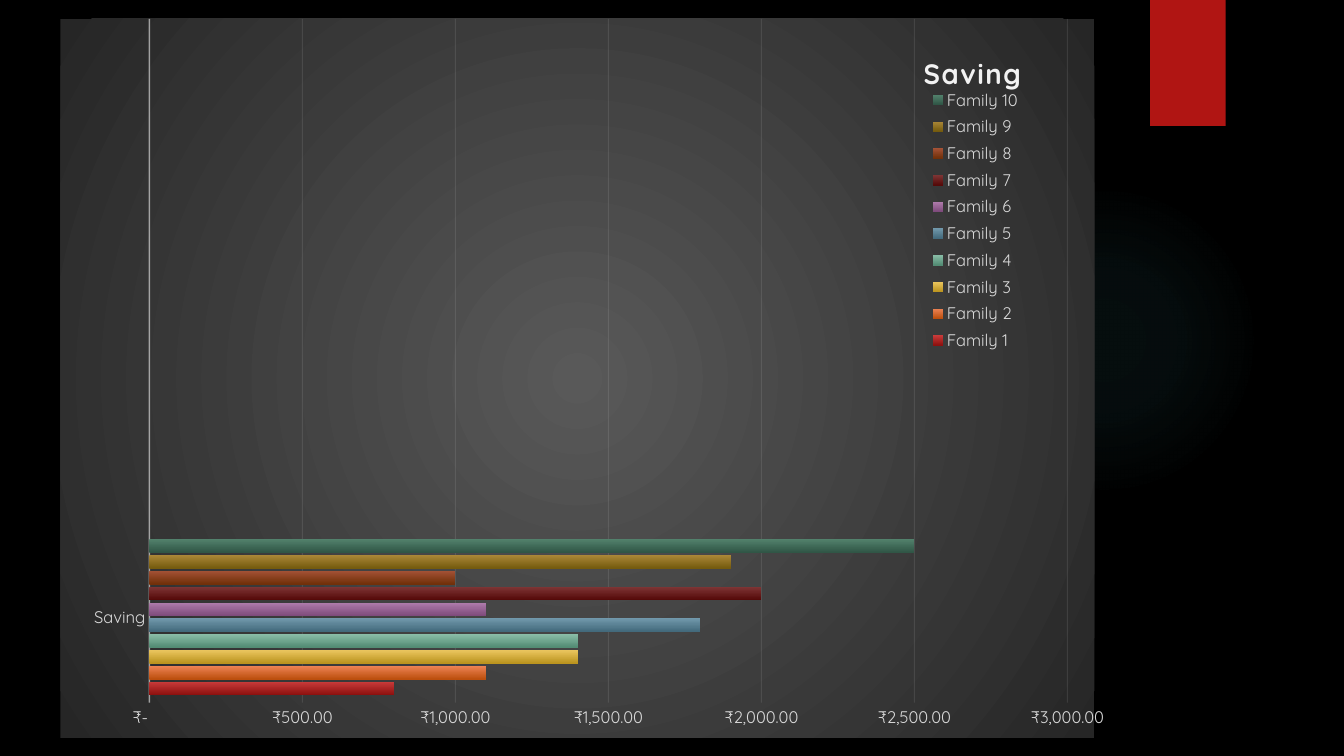
from lxml import etree
from pptx import Presentation
from pptx import util as u
from pptx.chart.data import CategoryChartData
from pptx.dml.color import RGBColor
from pptx.enum import chart as ch, shapes
from pptx.oxml import ns

BLACK = RGBColor(0x00, 0x00, 0x00)
WHITE = RGBColor(0xFF, 0xFF, 0xFF)
LABEL = RGBColor(0xD9, 0xD9, 0xD9)
RULE = RGBColor(0xF2, 0xF2, 0xF2)
RED = RGBColor(0xB0, 0x15, 0x13)
TEAL = RGBColor(0x50, 0xB9, 0xC1)
PANEL_CENTRE = RGBColor(0x59, 0x59, 0x59)
PANEL_EDGE = RGBColor(0x26, 0x26, 0x26)

# Saving per family, with the top and bottom colour of its bar
FAMILIES = [
    (800, RGBColor(0xC9, 0x3B, 0x3A), RGBColor(0x8D, 0x11, 0x0F)),
    (1100, RGBColor(0xEE, 0x84, 0x55), RGBColor(0xBC, 0x4F, 0x0E)),
    (1400, RGBColor(0xEB, 0xC6, 0x5F), RGBColor(0xBB, 0x94, 0x1F)),
    (1400, RGBColor(0x89, 0xBD, 0xA7), RGBColor(0x53, 0x8C, 0x74)),
    (1800, RGBColor(0x71, 0x98, 0xAB), RGBColor(0x43, 0x6A, 0x7C)),
    (1100, RGBColor(0xAF, 0x7C, 0xAC), RGBColor(0x7F, 0x4B, 0x7C)),
    (2000, RGBColor(0x7F, 0x36, 0x36), RGBColor(0x55, 0x0A, 0x09)),
    (1000, RGBColor(0xA4, 0x52, 0x36), RGBColor(0x71, 0x30, 0x09)),
    (1900, RGBColor(0xAA, 0x87, 0x37), RGBColor(0x75, 0x5B, 0x0E)),
    (2500, RGBColor(0x52, 0x81, 0x6C), RGBColor(0x30, 0x56, 0x46)),
]
RUPEES = r'_("₹"* #,##0.00_);_("₹"* \(#,##0.00\);_("₹"* "-"??_);_(@_)'


def add(parent, tag, **attributes):
    child = etree.SubElement(parent, ns.qn(tag))
    for key, value in attributes.items():
        child.set(key, str(value))
    return child


def radial_fill(parent, stops):
    """Stops are (position %, colour, opacity %), from the centre outwards."""
    gradient = add(parent, "a:gradFill", rotWithShape=1)
    stop_list = add(gradient, "a:gsLst")
    for position, colour, opacity in stops:
        stop = add(stop_list, "a:gs", pos=position * 1000)
        add(add(stop, "a:srgbClr", val=colour), "a:alpha", val=opacity * 1000)
    add(add(gradient, "a:path", path="circle"), "a:fillToRect",
        l=50000, t=50000, r=50000, b=50000)
    return gradient


def place(part, x, y, w=None, h=None, inner=False):
    """Give a chart part a manual layout, in fractions of the chart."""
    for old in part.findall(ns.qn("c:layout")):
        part.remove(old)
    layout = etree.Element(ns.qn("c:layout"))
    manual = add(layout, "c:manualLayout")
    if inner:
        add(manual, "c:layoutTarget", val="inner")
    add(manual, "c:xMode", val="edge")
    add(manual, "c:yMode", val="edge")
    for key, value in zip("xywh", (x, y, w, h)):
        if value is not None:
            add(manual, "c:" + key, val=value)
    overlay = part.find(ns.qn("c:overlay"))
    part.insert(0 if overlay is None else part.index(overlay), layout)


class SavingsSlide:
    font_name = "Quicksand"

    def __init__(self, deck):
        self.slide = deck.slides.add_slide(deck.slide_layouts[6])
        self.slide.background.fill.solid()
        self.slide.background.fill.fore_color.rgb = BLACK

    def style_font(self, font, size, colour, bold=False):
        font.name, font.size, font.bold = self.font_name, u.Pt(size), bold
        font.color.rgb = colour

    def style_line(self, line, width, opacity):
        line.width = u.Pt(width)
        line.color.rgb = RULE
        for colour in line._get_or_add_ln().iter(ns.qn("a:srgbClr")):
            add(colour, "a:alpha", val=opacity * 1000)

    def shape(self, kind, left, top, width, height):
        item = self.slide.shapes.add_shape(
            kind, u.Pt(left), u.Pt(top), u.Pt(width), u.Pt(height))
        item.shadow.inherit = False
        item.line.fill.background()
        return item

    def glow(self, left, top, size, stops):
        ellipse = self.shape(shapes.MSO_SHAPE.OVAL, left, top, size, size)
        properties = ellipse._element.spPr
        properties.insert(2, radial_fill(properties, stops))

    def ribbon(self, left, top, width, height):
        tab = self.shape(shapes.MSO_SHAPE.RECTANGLE, left, top, width, height)
        tab.fill.solid()
        tab.fill.fore_color.rgb = RED
        effects = tab._element.spPr.find(ns.qn("a:effectLst"))
        shadow = add(effects, "a:outerShdw", blurRad=u.Pt(3), dist=u.Pt(2),
                     dir=5400000, rotWithShape=0)
        add(add(shadow, "a:srgbClr", val=BLACK), "a:alpha", val=45000)

    def bar_chart(self, left, top, width, height):
        # The three empty categories keep the bars in the lowest quarter
        savings = CategoryChartData()
        savings.categories = ["Saving", "", "", ""]
        for number, (amount, _, _) in enumerate(FAMILIES, 1):
            savings.add_series(f"Family {number}", [amount, None, None, None])
        chart = self.slide.shapes.add_chart(
            ch.XL_CHART_TYPE.BAR_CLUSTERED, u.Pt(left), u.Pt(top),
            u.Pt(width), u.Pt(height), savings).chart
        self.style_font(chart.font, 10, WHITE)

        # Panel behind the bars
        space = chart._chartSpace
        panel = etree.Element(ns.qn("c:spPr"))
        radial_fill(panel, [(0, PANEL_CENTRE, 100), (100, PANEL_EDGE, 100)])
        add(add(panel, "a:ln"), "a:noFill")
        space.find(ns.qn("c:chart")).addnext(panel)

        # Bars
        plot = chart.plots[0]
        plot.gap_width, plot.overlap = 115, -20
        plot.vary_by_categories = False
        for series, (_, upper, lower) in zip(plot.series, FAMILIES):
            fill = series.format.fill
            fill.gradient()
            fill.gradient_angle = 270
            for stop, colour in zip(fill.gradient_stops, (upper, lower)):
                stop.color.rgb = colour
        place(space.find(".//" + ns.qn("c:plotArea")),
              0.086, 0, 0.888, 0.951, inner=True)

        # Axes
        names, amounts = chart.category_axis, chart.value_axis
        for axis in (names, amounts):
            axis.major_tick_mark = axis.minor_tick_mark = ch.XL_TICK_MARK.NONE
            self.style_font(axis.tick_labels.font, 12, LABEL)
        self.style_line(names.format.line, 1, 54)
        amounts.format.line.fill.background()
        amounts.minimum_scale, amounts.maximum_scale = 0, 3000
        amounts.major_unit = 500
        amounts.tick_labels.number_format = RUPEES
        amounts.tick_labels.number_format_is_linked = False
        amounts.has_major_gridlines = True
        self.style_line(amounts.major_gridlines.format.line, 0.75, 10)

        # Title and legend
        chart.has_title = True
        run = chart.chart_title.text_frame.paragraphs[0].add_run()
        run.text = "Saving"
        self.style_font(run.font, 20, RULE, bold=True)
        run._r.get_or_add_rPr().set("spc", "100")
        chart.chart_title.include_in_layout = False
        place(chart.chart_title._element, 0.83, 0.04)
        chart.has_legend = True
        chart.legend.position = ch.XL_LEGEND_POSITION.CORNER
        chart.legend.include_in_layout = False
        self.style_font(chart.legend.font, 12, LABEL)
        place(chart.legend._element, 0.83, 0.09, 0.11, 0.38)


def main():
    deck = Presentation()
    deck.slide_width, deck.slide_height = u.Pt(960), u.Pt(540)
    page = SavingsSlide(deck)
    page.glow(677.5, 131.8, 221.8, [(0, TEAL, 7), (36, TEAL, 6), (69, TEAL, 0)])
    page.ribbon(821.5, 0, 54, 90)
    page.bar_chart(43.2, 13, 748.8, 514)
    deck.save("out.pptx")


if __name__ == "__main__":
    main()
